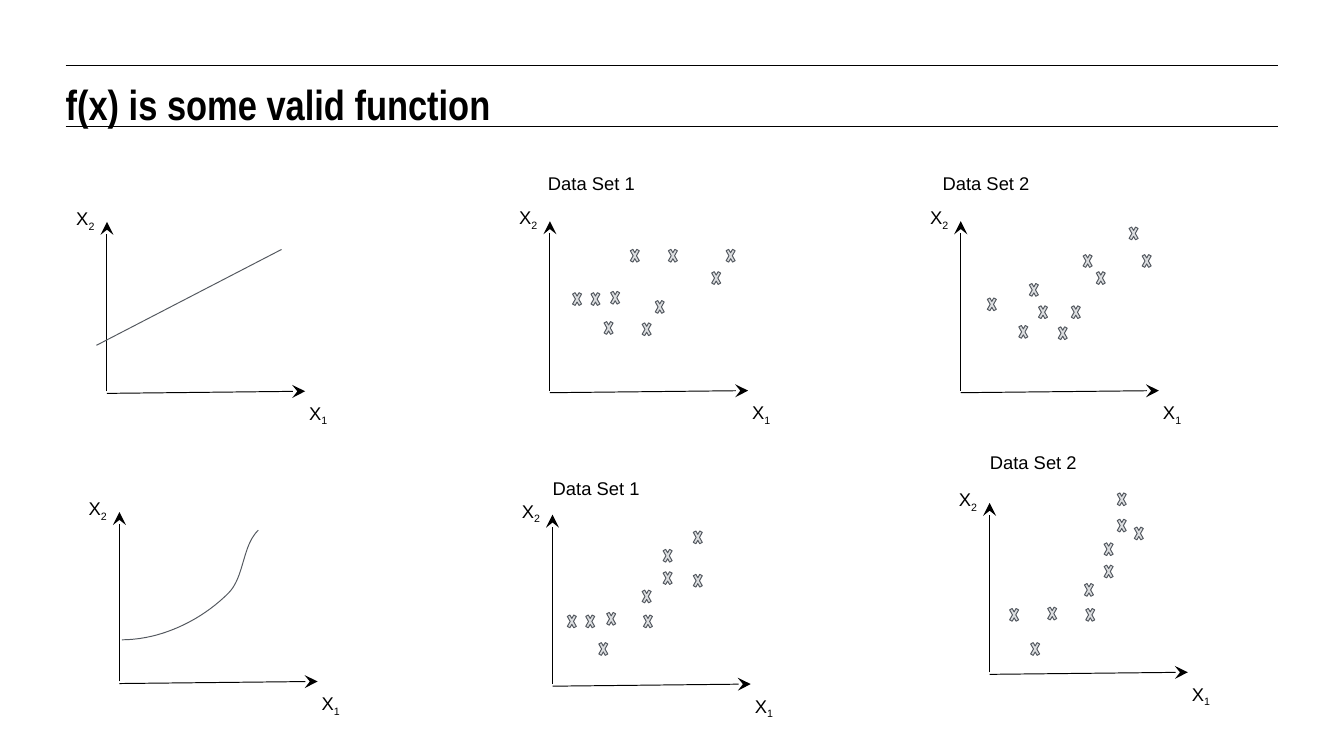
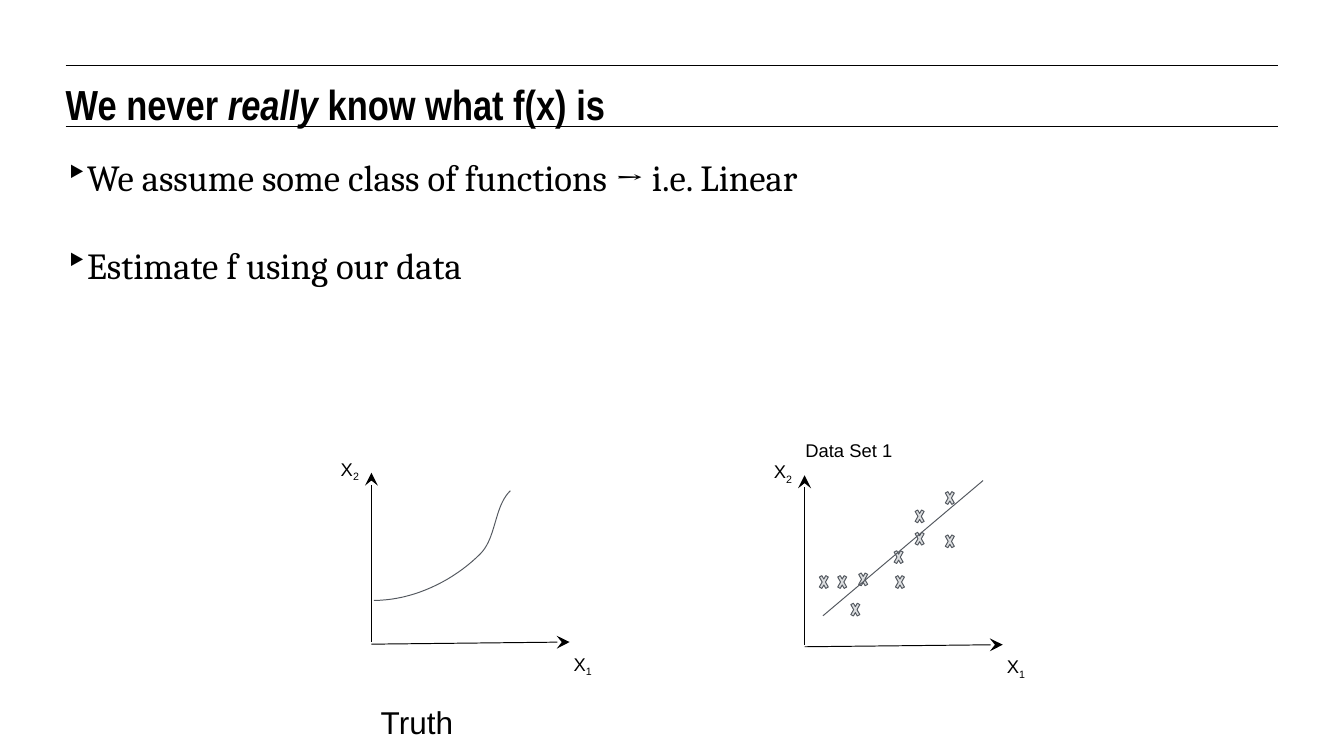
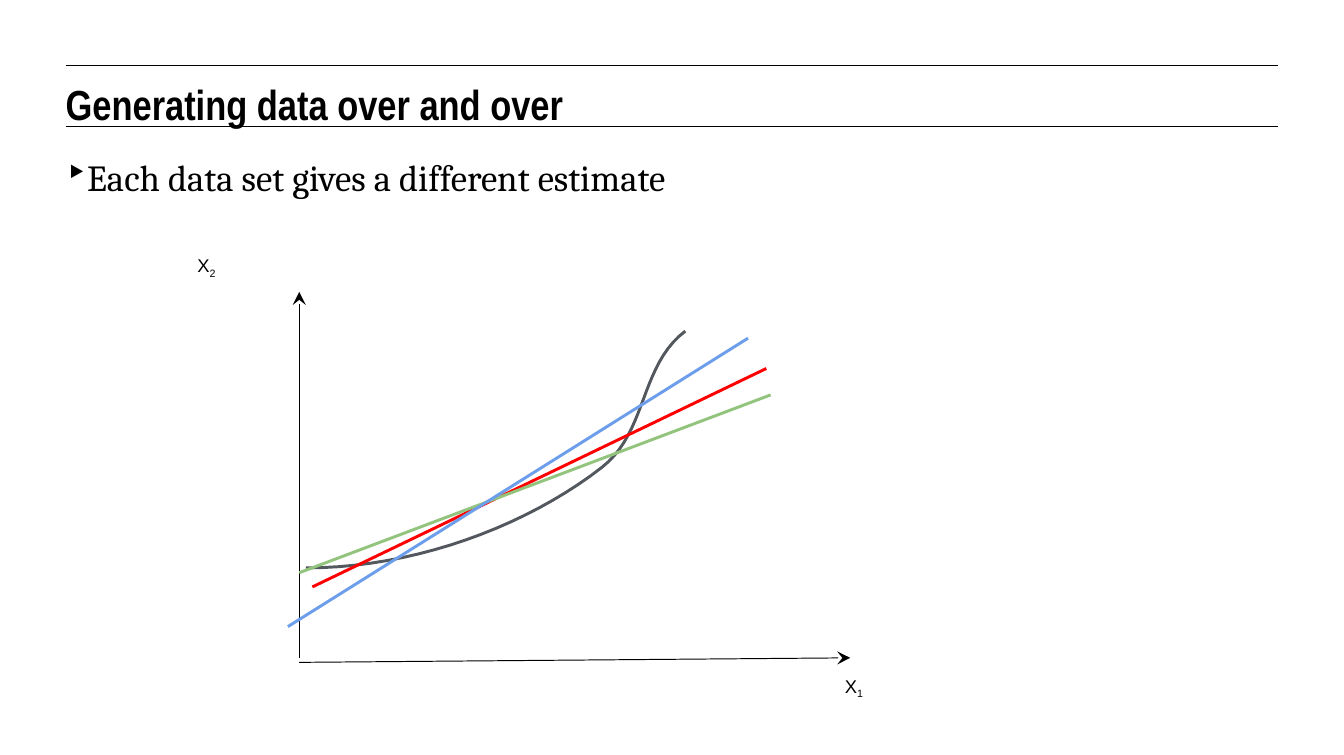
from collections import namedtuple

from lxml.etree import SubElement
from pptx import Presentation
from pptx.dml.color import RGBColor
from pptx.enum.shapes import MSO_CONNECTOR as Link, MSO_SHAPE as Kind
from pptx.enum.text import MSO_ANCHOR as Anchor
from pptx.oxml.ns import qn
from pptx.util import Pt

BLACK, GREY, PALE = "000000", "53585F", "DCDEE0"
RED, GREEN, BLUE = "FF0000", "93C47D", "6D9EEB"
LEFT, WIDE = 50, 924
THIN, THICK = 0.75, 2.25

# Axes origin in points, with stretch factors for the whole graph
Graph = namedtuple("Graph", "slide x y sx sy", defaults=(1, 1))

# Offsets from a graph's origin: points right, points up
TRUTH = [(1.8, 31.7), (31.5, 31.7), (62, 46.2), (83, 67.2),
         (95.4, 79.7), (93.3, 103), (105.8, 115.2)]
FLAT_ONE = [(122, 94), (60, 111), (133, 111), (45, 79), (16, 78),
            (30, 78), (40, 56), (69, 55), (89, 111), (79, 72)]
FLAT_TWO = [(102, 94), (127, 128), (137, 107), (51, 85), (19, 74),
            (58, 68), (43, 53), (73, 52), (92, 107), (83, 68)]
BENT_ONE = [(106, 120), (83, 106), (106, 87), (40, 58), (10, 56),
            (24, 56), (34, 35), (68, 56), (83, 89), (67, 75)]
BENT_TWO = [(109, 114), (86, 102), (96, 120), (43, 53), (14, 52),
            (30, 26), (96, 140), (72, 52), (86, 85), (71, 71)]


def tint(code):
    return RGBColor.from_string(code)


def ink(run, size, face="Arial", bold=None, slant=None):
    font = run.font
    font.name, font.size, font.bold, font.italic = face, Pt(size), bold, slant
    font.color.rgb = tint(BLACK)


def box(slide, x, y, w, h, pad=7.2):
    frame = slide.shapes.add_textbox(Pt(x), Pt(y), Pt(w), Pt(h)).text_frame
    frame.word_wrap = True
    frame.vertical_anchor = Anchor.TOP
    frame.margin_left = frame.margin_right = Pt(pad)
    frame.margin_top = frame.margin_bottom = Pt(pad)
    return frame


def put(par, text, size, **style):
    run = par.add_run()
    run.text = text
    ink(run, size, **style)
    return run


def line(slide, start, end, color=BLACK, width=THIN, arrow=False):
    ends = [Pt(n) for n in (*start, *end)]
    link = slide.shapes.add_connector(Link.STRAIGHT, *ends)
    link.line.color.rgb = tint(color)
    link.line.width = Pt(width)
    if arrow:
        SubElement(link.line._get_or_add_ln(), qn("a:tailEnd"),
                   type="stealth", w="lg", len="lg")
    SubElement(link._element.spPr, qn("a:effectLst"))


def page(deck, *title):
    """Add a slide with its two rules and a title of (text, slant) runs."""
    slide = deck.slides.add_slide(deck.slide_layouts[6])
    for y in (50, 96):
        line(slide, (LEFT, y), (LEFT + WIDE, y))
    par = box(slide, LEFT, 60, WIDE, 34, pad=0).paragraphs[0]
    for text, slant in title:
        put(par, text, 32, face="Arial Narrow", bold=True, slant=slant)
    return slide


def points(slide, *items):
    """Add the bulleted body text."""
    frame = box(slide, LEFT, 117.5, 904, 34 * (2 * len(items) - 1), pad=0)
    for i, text in enumerate(items):
        par = frame.add_paragraph() if i else frame.paragraphs[0]
        par.space_before = Pt(34 if i else 0)
        props = par._p.get_or_add_pPr()
        props.set("marL", str(Pt(16)))
        props.set("indent", str(Pt(-20)))
        SubElement(props, qn("a:buChar"), char="‣")
        put(par, text, 28, face="Cambria")


def spot(graph, right, up):
    return graph.x + right * graph.sx, graph.y - up * graph.sy


def label(graph, right, up, digit):
    par = box(graph.slide, *spot(graph, right, up), 70, 11).paragraphs[0]
    put(par, "X", 14)
    low = put(par, digit, 14)
    low._r.get_or_add_rPr().set("baseline", "-25000")


def axes(slide, x, y, sx=1, sy=1):
    graph = Graph(slide, x, y, sx, sy)
    line(slide, (x, y), spot(graph, 0, 129), arrow=True)
    line(slide, spot(graph, 0, -1.6), spot(graph, 151, 0), arrow=True)
    label(graph, 147, -4.3, "1")
    label(graph, -30.5, 144, "2")
    return graph


def trend(graph, start, end, color=GREY, width=THIN):
    line(graph.slide, spot(graph, *start), spot(graph, *end), color, width)


def bezier(a, b, c, d, steps=20):
    for i in range(1, steps + 1):
        t = i / steps
        u = 1 - t
        yield tuple(u**3 * p + 3 * u * u * t * q + 3 * u * t * t * r + t**3 * s
                    for p, q, r, s in zip(a, b, c, d))


def curve(graph, width=THIN):
    dots = [spot(graph, *dot) for dot in TRUTH]
    trail = [*bezier(*dots[:4]), *bezier(*dots[3:])]
    x, y = dots[0]
    pen = graph.slide.shapes.build_freeform(Pt(x), Pt(y))
    pen.add_line_segments([(Pt(x), Pt(y)) for x, y in trail], close=False)
    shape = pen.convert_to_shape()
    shape.shadow.inherit = False
    shape.fill.background()
    shape.line.color.rgb = tint(GREY)
    shape.line.width = Pt(width)


def marks(graph, dots):
    for dot in dots:
        x, y = spot(graph, *dot)
        mark = graph.slide.shapes.add_shape(
            Kind.MATH_MULTIPLY, Pt(x), Pt(y), Pt(9.4), Pt(16.6))
        mark.adjustments[0] = 0.235
        mark.shadow.inherit = False
        mark.fill.solid()
        mark.fill.fore_color.rgb = tint(PALE)
        mark.line.color.rgb = tint(GREY)
        mark.line.width = Pt(THIN)


def sample(slide, x, y, name, right, up, dots):
    """Draw a scatter graph with its name above."""
    graph = axes(slide, x, y)
    marks(graph, dots)
    frame = box(slide, *spot(graph, right, up), 195, 34)
    put(frame.paragraphs[0], name, 14)
    return graph


def valid(deck):
    slide = page(deck, ("f(x) is some valid function", None))
    trend(axes(slide, 81.5, 298), (-8, 35), (133, 108))
    sample(slide, 419, 297.5, "Data Set 1", -8.6, 174, FLAT_ONE)
    sample(slide, 732, 297.5, "Data Set 2", -21, 173.5, FLAT_TWO)
    curve(axes(slide, 91, 519))
    sample(slide, 421, 521, "Data Set 1", -7, 165, BENT_ONE)
    sample(slide, 754, 512, "Data Set 2", -7, 176, BENT_TWO)


def unknown(deck):
    slide = page(deck, ("We never ", None), ("really ", True),
                 ("know what f(x) is", None))
    points(slide, "We assume some class of functions → i.e. Linear",
           "Estimate f using our data")
    curve(axes(slide, 283, 489))
    graph = sample(slide, 613, 491, "Data Set 1", -6.5, 164, BENT_ONE)
    trend(graph, (14, 22), (136, 125))
    put(box(slide, 283, 528, 161, 24).paragraphs[0], "Truth", 24)


def repeat(deck):
    slide = page(deck, ("Generating data over and over", None))
    points(slide, "Each data set gives a different estimate")
    graph = axes(slide, 228, 501, sx=2.78, sy=2.16)
    curve(graph, THICK)
    for start, end, color in (
            ((3.6, 25), (128, 102), RED),
            ((0, 30), (129.2, 92.7), GREEN),
            ((-3.1, 11), (123, 112.7), BLUE)):
        trend(graph, start, end, color, THICK)


def main():
    deck = Presentation()
    deck.slide_width, deck.slide_height = Pt(1024), Pt(575)
    valid(deck)
    unknown(deck)
    repeat(deck)
    deck.save("out.pptx")


if __name__ == "__main__":
    main()
